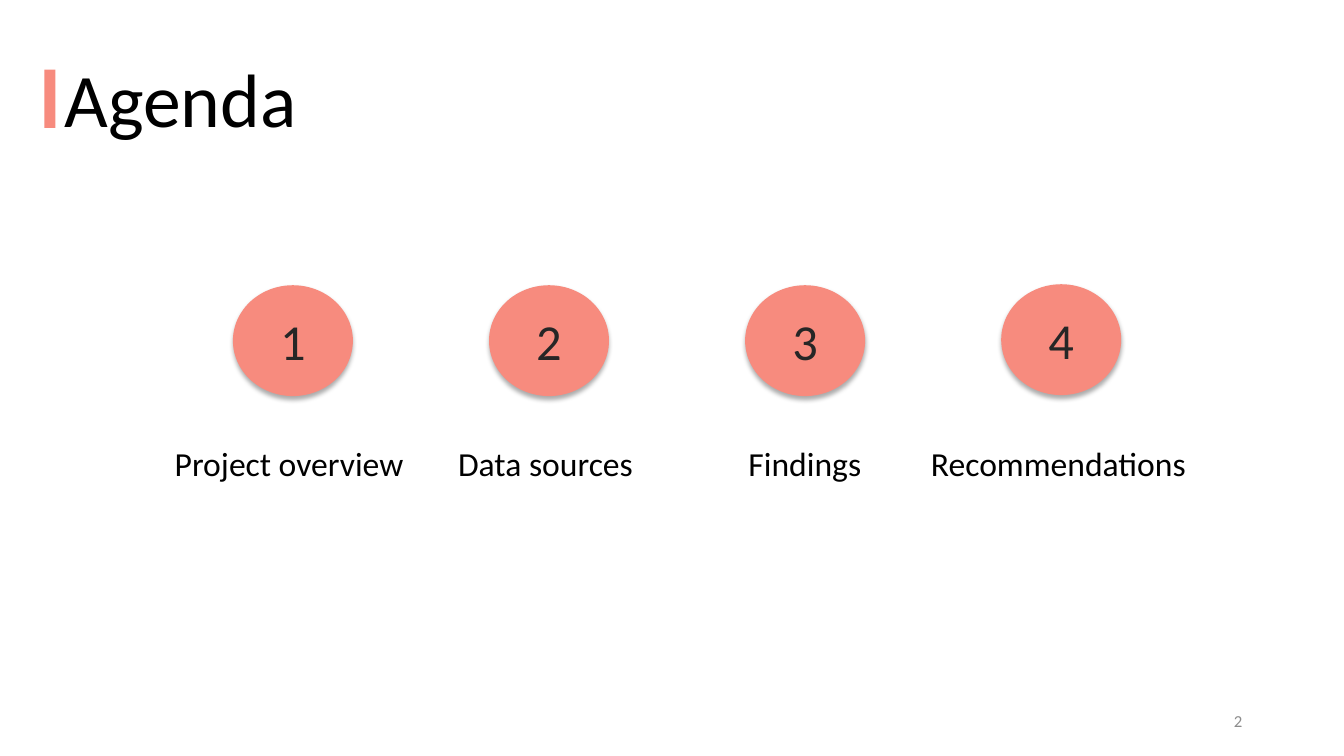
import pptx
import pptx.dml.color
import pptx.enum.shapes
import pptx.enum.text
import pptx.oxml
import pptx.util

Inches = pptx.util.Inches
SHAPES = pptx.enum.shapes.MSO_SHAPE
ALIGN = pptx.enum.text.PP_ALIGN
ANCHOR = pptx.enum.text.MSO_ANCHOR

COLORS = {"coral": "F78B7E", "title": "000000", "label": "000000",
          "number": "262626", "page": "8C8C8C"}
SHADOW = (
    '<a:effectLst xmlns:a="http://schemas.openxmlformats.org/drawingml/2006/main">'
    '<a:outerShdw blurRad="44450" dist="27940" dir="5400000" algn="ctr" rotWithShape="0">'
    '<a:srgbClr val="000000"><a:alpha val="32000"/></a:srgbClr>'
    '</a:outerShdw></a:effectLst>')


def write(shape, text, size, color, align, anchor=ANCHOR.MIDDLE, wrap=True):
    """Put one formatted run in the shape and return its paragraph."""
    frame = shape.text_frame
    frame.word_wrap = wrap
    frame.auto_size = pptx.enum.text.MSO_AUTO_SIZE.NONE
    frame.vertical_anchor = anchor
    paragraph = frame.paragraphs[0]
    paragraph.alignment = align
    run = paragraph.add_run()
    run.text = text
    run.font.size = pptx.util.Pt(size)
    run.font.name = "Calibri"
    run.font.color.rgb = pptx.dml.color.RGBColor.from_string(COLORS[color])
    return paragraph


def add_coral(preset, left, top, width, height):
    shape = slide.shapes.add_shape(
        preset, Inches(left), Inches(top), Inches(width), Inches(height))
    shape.shadow.inherit = False
    shape.fill.solid()
    shape.fill.fore_color.rgb = pptx.dml.color.RGBColor.from_string(COLORS["coral"])
    shape.line.fill.background()
    return shape


deck = pptx.Presentation()
deck.slide_width, deck.slide_height = Inches(13.33), Inches(7.5)
slide = deck.slides.add_slide(deck.slide_layouts[5])

title = slide.shapes.title
title.left, title.top = Inches(0.54), Inches(0.3)
title.width, title.height = Inches(2.66), Inches(1.45)
write(title, "Agenda", 54, "title", ALIGN.LEFT).line_spacing = 0.9

page_number = slide.shapes.add_textbox(
    Inches(9.42), Inches(6.95), Inches(3), Inches(0.4))
write(page_number, "2", 12, "page", ALIGN.RIGHT)

add_coral(SHAPES.RECTANGLE, 0.44, 0.69, 0.11, 0.58)

# Each agenda item: label, label width, top of its circle
agenda = [("Project overview", 2.54, 2.83), ("Data sources", 2, 2.83),
          ("Findings", 1.32, 2.83), ("Recommendations", 2.78, 2.82)]
first_center, column = 2.905, 2.54
circle_width, circle_height = 1.19, 1.1

for index, (topic, label_width, circle_top) in enumerate(agenda):
    center = first_center + index * column
    circle = add_coral(SHAPES.FLOWCHART_CONNECTOR, center - circle_width / 2,
                       circle_top, circle_width, circle_height)
    properties = circle.element.spPr
    properties.replace(properties.find(pptx.oxml.ns.qn("a:effectLst")),
                       pptx.oxml.parse_xml(SHADOW))
    write(circle, str(index + 1), 36, "number", ALIGN.CENTER)

    label = slide.shapes.add_textbox(
        Inches(center - label_width / 2), Inches(4.34), Inches(label_width), Inches(0.5))
    write(label, topic, 24, "label", ALIGN.LEFT, ANCHOR.TOP, wrap=False)

deck.save("out.pptx")
